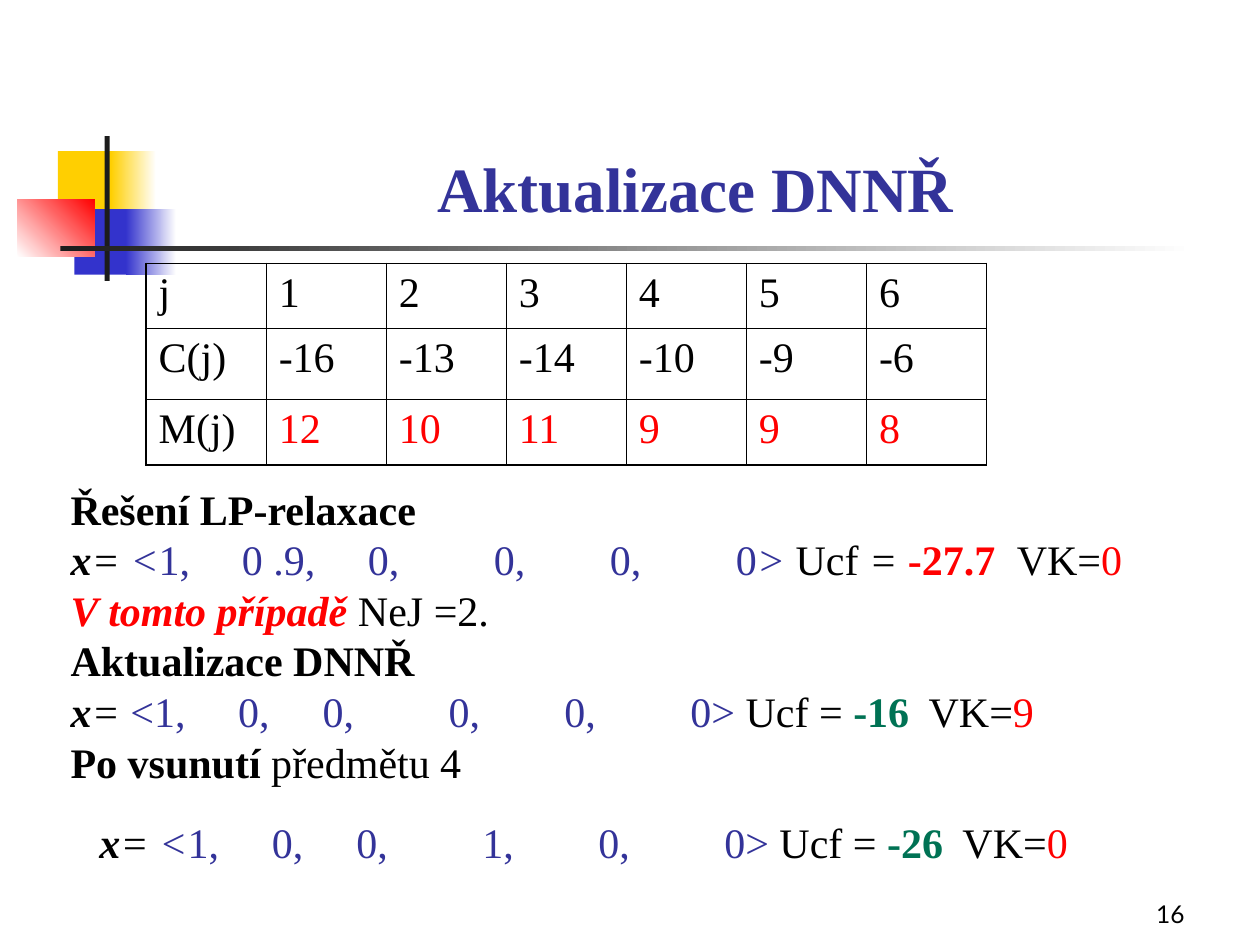
from itertools import accumulate
from typing import NamedTuple

from lxml.etree import SubElement
from pptx import Presentation
from pptx.dml.color import RGBColor
from pptx.enum.shapes import MSO_SHAPE
from pptx.enum.text import MSO_ANCHOR, MSO_AUTO_SIZE, PP_ALIGN
from pptx.oxml.ns import qn
from pptx.util import Inches, Pt

BLACK = RGBColor(0x00, 0x00, 0x00)
WHITE = RGBColor(0xFF, 0xFF, 0xFF)
YELLOW = RGBColor(0xFF, 0xCF, 0x01)
BLUE = RGBColor(0x33, 0x33, 0xCC)
RED = RGBColor(0xFF, 0x00, 0x00)
CHARCOAL = RGBColor(0x1C, 0x1C, 0x1C)
NAVY = RGBColor(0x33, 0x33, 0x99)
GREEN = RGBColor(0x00, 0x72, 0x54)
SERIF = "Times New Roman"
THIN, THICK = Pt(0.45), Pt(1.08)


class Block(NamedTuple):
    """Decorative rectangle; a second colour makes it a gradient."""
    left: float
    top: float
    width: float
    height: float
    color: RGBColor
    end_color: RGBColor | None = None
    angle: int = 0


class Span(NamedTuple):
    text: str
    color: RGBColor = BLACK
    bold: bool = False
    italic: bool = False


class Line(NamedTuple):
    """One line of text with its tab stops in inches."""
    spans: list[Span]
    tabs: list[float] = []


BLOCKS = [
    Block(0.46, 1.2, 0.48, 0.52, YELLOW),
    Block(0.88, 1.2, 0.36, 0.52, YELLOW, WHITE),
    Block(0.59, 1.66, 0.46, 0.52, BLUE),
    Block(1, 1.66, 0.4, 0.52, BLUE, WHITE),
    Block(0.14, 1.58, 0.61, 0.46, WHITE, RED, 45),
    Block(0.83, 1.08, 0.04, 1.15, CHARCOAL),
    Block(0.48, 1.95, 9, 0.04, CHARCOAL, WHITE),
]

TABLE_ROWS = [
    ["j", "1", "2", "3", "4", "5", "6"],
    ["C(j)", "-16", "-13", "-14", "-10", "-9", "-6"],
    ["M(j)", "12", "10", "11", "9", "9", "8"],
]
ROW_HEIGHTS = [0.52, 0.56, 0.52]


def solution(values: str, bracket_italic: bool, equals: Span, cost: Span,
             slack: str, first_tab: float, first_step: float, slack_tab: float) -> Line:
    """Solution vector with its objective value and remaining capacity."""
    stops = list(accumulate([first_tab, first_step, 1, 0.92, 1]))
    spans = [
        Span("x", bold=True, italic=True),
        Span("= ", italic=True),
        Span("<", NAVY, italic=bracket_italic),
        Span("\t".join(values.split()).replace("_", " "), NAVY),
        Span("> ", NAVY, italic=equals.italic),
        Span("Ucf "),
        equals,
        cost,
        Span("\tVK="),
        Span(slack, RED),
    ]
    return Line(spans, stops + [slack_tab])


BODY_LINES = [
    Line([Span("Řešení LP-relaxace", bold=True)]),
    solution("1, 0_.9, 0, 0, 0, 0", True, Span("= ", italic=True),
             Span("-27.7", RED, bold=True), "0", 1.36, 1, 7.51),
    Line([Span("V tomto případě ", RED, bold=True, italic=True), Span("NeJ =2.")]),
    Line([Span("Aktualizace DNNŘ", bold=True)]),
    solution("1, 0, 0, 0, 0, 0", False, Span("= "),
             Span("-16", GREEN, bold=True), "9", 1.33, 0.67, 6.81),
    Line([Span("Po vsunutí ", bold=True), Span("předmětu 4")]),
]
INSERTED_LINE = solution("1, 0, 0, 1, 0, 0", True, Span("= "),
                         Span("-26", GREEN, bold=True), "0", 1.37, 0.67, 6.85)


def place(shape, left: float, top: float, width: float, height: float) -> None:
    shape.left, shape.top = Inches(left), Inches(top)
    shape.width, shape.height = Inches(width), Inches(height)


def format_run(run, size: float, color: RGBColor, bold: bool = False,
               italic: bool = False, name: str = SERIF) -> None:
    font = run.font
    font.name, font.size = name, Pt(size)
    font.bold, font.italic = bold, italic
    font.color.rgb = color


def draw_block(slide, block: Block) -> None:
    shape = slide.shapes.add_shape(MSO_SHAPE.RECTANGLE, 0, 0, 0, 0)
    place(shape, *block[:4])
    shape.shadow.inherit = False
    shape.line.fill.background()
    if block.end_color is None:
        shape.fill.solid()
        shape.fill.fore_color.rgb = block.color
        return
    shape.fill.gradient()
    shape.fill.gradient_angle = block.angle
    for stop, color in zip(shape.fill.gradient_stops, (block.color, block.end_color)):
        stop.color.rgb = color


def remove_list_indent(presentation) -> None:
    """Drop the master's hanging indent, which overrides custom tab stops."""
    body_style = next(presentation.slide_master.element.iter(qn("p:bodyStyle")))
    level = body_style.find(qn("a:lvl1pPr"))
    level.attrib.pop("indent", None)
    level.set("marL", "0")


def write_line(paragraph, line: Line) -> None:
    properties = paragraph._p.get_or_add_pPr()
    SubElement(properties, qn("a:buNone"))
    if line.tabs:
        tab_list = SubElement(properties, qn("a:tabLst"))
        for stop in line.tabs:
            SubElement(tab_list, qn("a:tab"), pos=str(Inches(stop)), algn="l")
    for span in line.spans:
        run = paragraph.add_run()
        run.text = span.text
        format_run(run, 24, span.color, span.bold, span.italic)


def set_borders(cell, widths: dict[str, int]) -> None:
    properties = cell._tc.get_or_add_tcPr()
    for side, width in widths.items():
        border = SubElement(properties, qn(f"a:ln{side}"), w=str(width))
        fill = SubElement(border, qn("a:solidFill"))
        SubElement(fill, qn("a:srgbClr"), val=str(BLACK))


def draw_table(slide) -> None:
    last_row, last_column = len(TABLE_ROWS) - 1, len(TABLE_ROWS[0]) - 1
    table = slide.shapes.add_table(last_row + 1, last_column + 1, Inches(1.16),
                                   Inches(2.09), Inches(6.67), Inches(1.6)).table
    table.first_row = table.horz_banding = False
    for row_index, values in enumerate(TABLE_ROWS):
        table.rows[row_index].height = Inches(ROW_HEIGHTS[row_index])
        for column_index, value in enumerate(values):
            cell = table.cell(row_index, column_index)
            set_borders(cell, {
                "L": THICK if column_index == 0 else THIN,
                "R": THICK if column_index == last_column else THIN,
                "T": THICK if row_index == 0 else THIN,
                "B": THICK if row_index == last_row else THIN,
            })
            cell.fill.background()
            cell.text_frame.text = value
            is_weight = row_index == last_row and column_index > 0
            format_run(cell.text_frame.paragraphs[0].runs[0], 24, RED if is_weight else BLACK)


def main() -> None:
    presentation = Presentation()
    presentation.slide_width, presentation.slide_height = Inches(10), Inches(7.5)
    remove_list_indent(presentation)
    slide = presentation.slides.add_slide(presentation.slide_layouts[1])

    # Decoration
    for block in BLOCKS:
        draw_block(slide, block)

    # Title
    title = slide.shapes.title
    place(title, 1.26, 0.42, 8.52, 1.42)
    title.text_frame.text = "Aktualizace DNNŘ"
    title.text_frame.vertical_anchor = MSO_ANCHOR.BOTTOM
    title.text_frame.paragraphs[0].alignment = PP_ALIGN.CENTER
    format_run(title.text_frame.paragraphs[0].runs[0], 36, NAVY, bold=True)

    # Solution steps
    body = slide.placeholders[1]
    place(body, 0.25, 3.83, 9.5, 3.25)
    frame = body.text_frame
    frame.auto_size = MSO_AUTO_SIZE.NONE
    frame.margin_left, frame.margin_top = Inches(0.31), Inches(0.05)
    for index, line in enumerate(BODY_LINES):
        paragraph = frame.add_paragraph() if index else frame.paragraphs[0]
        write_line(paragraph, line)
        paragraph.line_spacing = 0.9
        paragraph.space_before = Pt(3 if index else 0)

    # Coefficient table
    draw_table(slide)

    # Solution after inserting the item
    inserted = slide.shapes.add_textbox(Inches(0.69), Inches(6.43), Inches(7.89), Inches(0.5))
    inserted.text_frame.word_wrap = False
    write_line(inserted.text_frame.paragraphs[0], INSERTED_LINE)

    # Slide number
    number = slide.shapes.add_textbox(Inches(7.42), Inches(6.92), Inches(2.08), Inches(0.5))
    number.text_frame.word_wrap = True
    number.text_frame.vertical_anchor = MSO_ANCHOR.BOTTOM
    number.text_frame.text = "16"
    number.text_frame.paragraphs[0].alignment = PP_ALIGN.RIGHT
    format_run(number.text_frame.paragraphs[0].runs[0], 14, BLACK, name="Lato")

    presentation.save("out.pptx")


if __name__ == "__main__":
    main()
